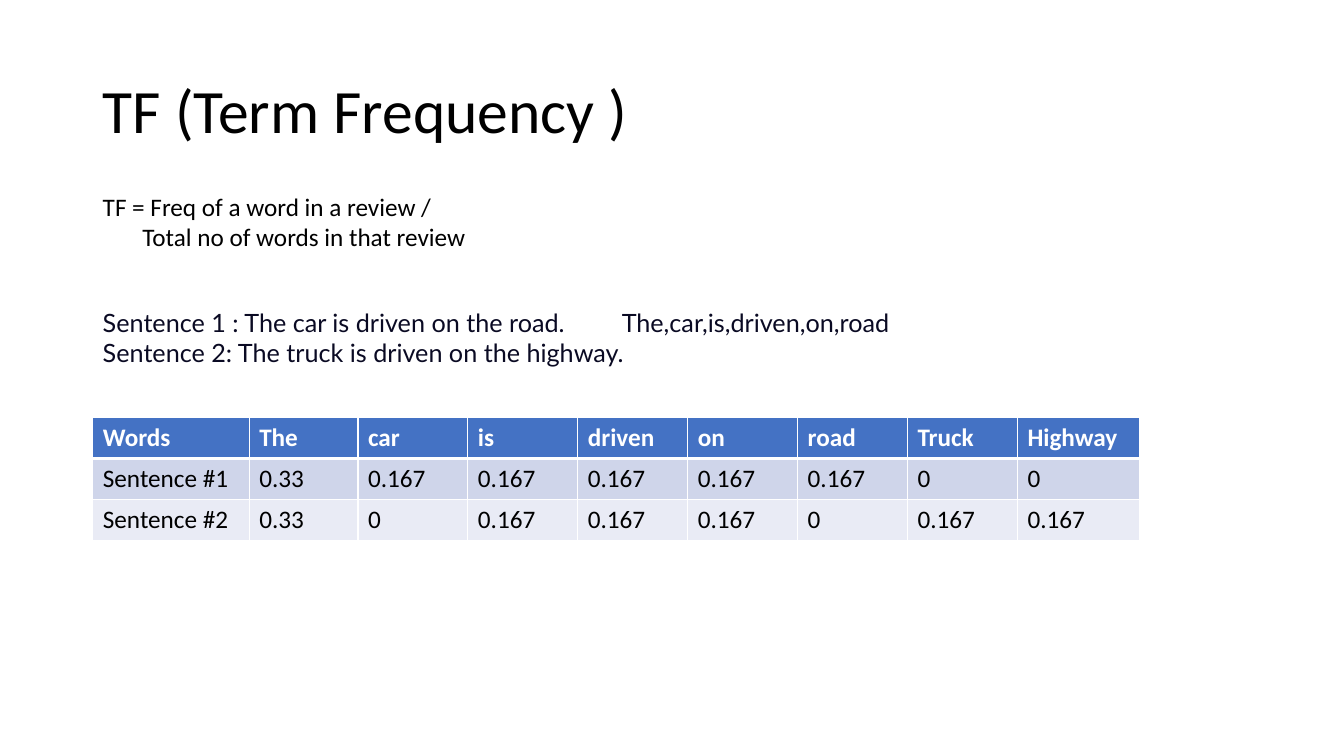
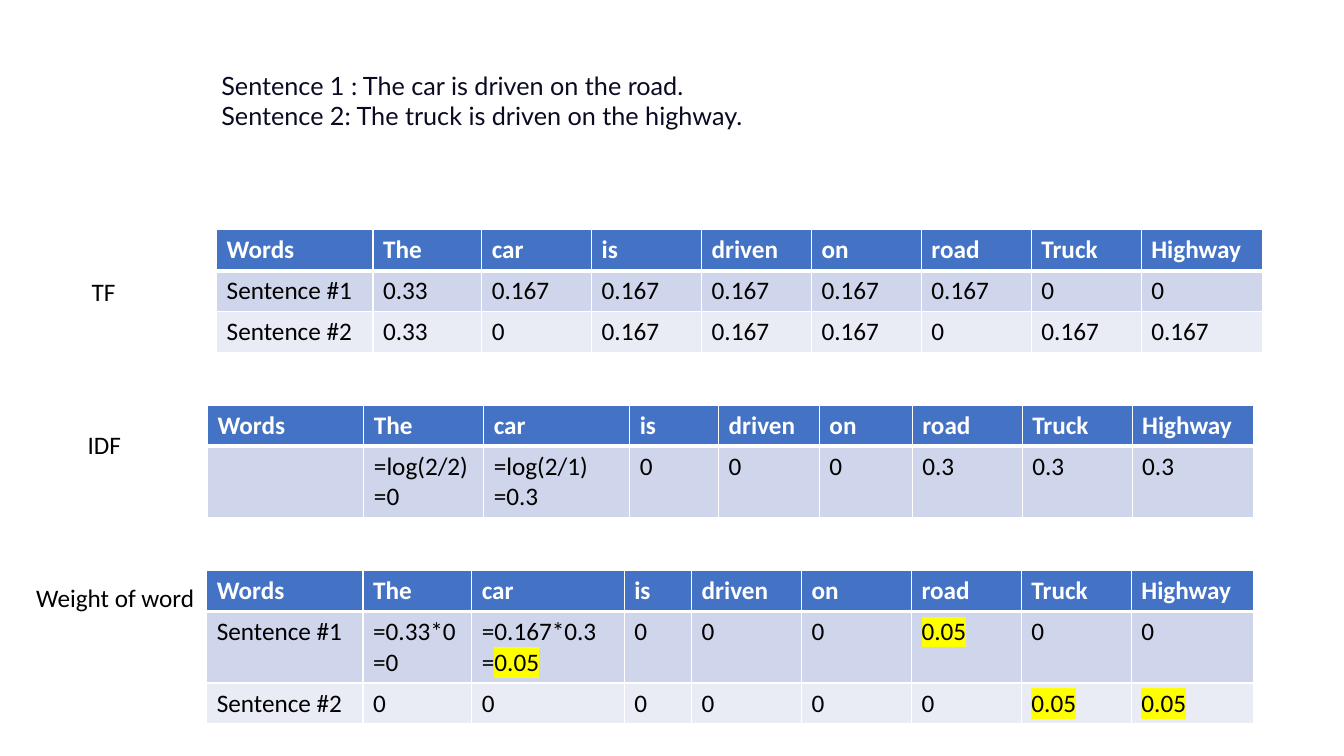
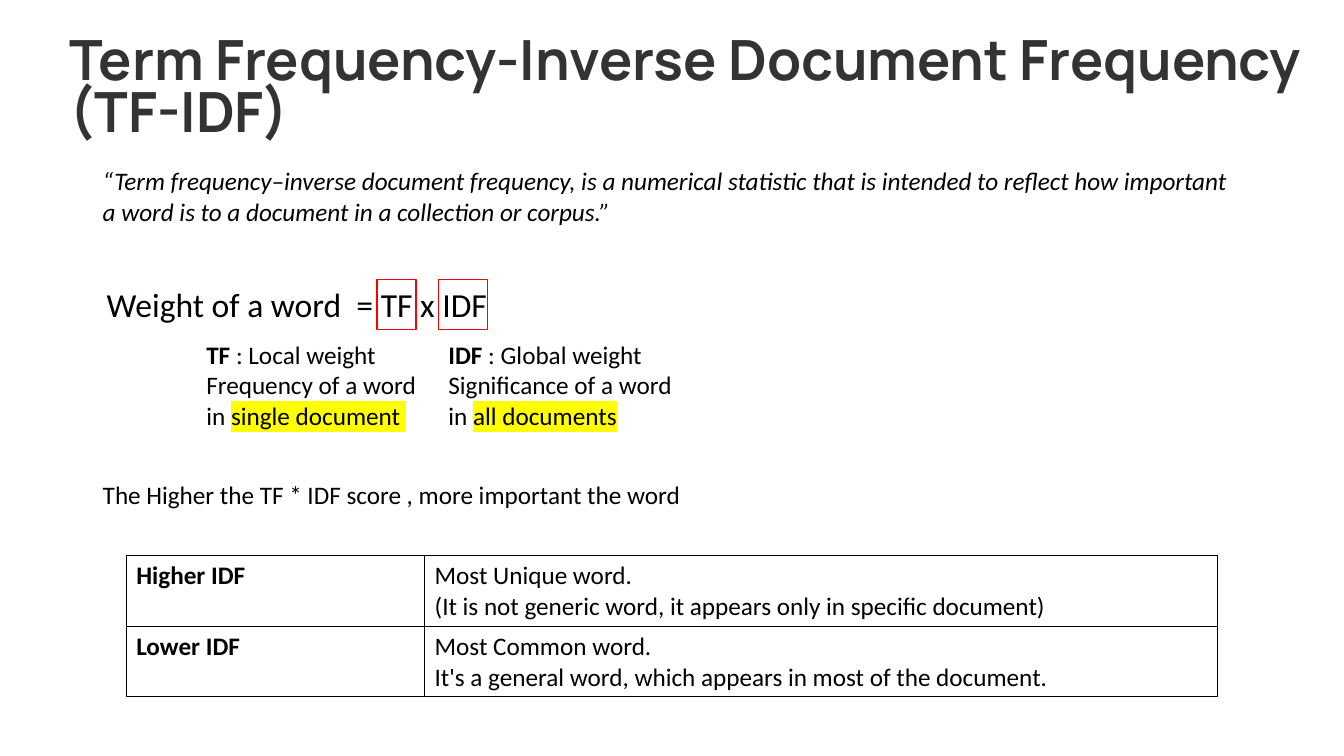
from lxml import etree
from pptx import Presentation
from pptx.dml.color import RGBColor
from pptx.enum import shapes, text
from pptx.oxml import ns
from pptx.util import Cm, Pt

COLORS = {
    "text": "000000", "navy": "0A0A23", "heading": "333333", "white": "FFFFFF",
    "header": "4472C4", "odd": "CFD5EA", "even": "E9EBF5",
    "mark": "FFFF00", "frame": "FF0000",
}
TITLE_ONLY, BLANK = 5, 6
LINE_H, TWO_LINES_H = 1.03, 1.8

# A text is a list of paragraphs; a paragraph is a string or a list of runs;
# a run is a string or (string, "bold" | "mark").
SENTENCES = ["Sentence 1 : The car is driven on the road.",
             "Sentence 2: The truck is driven on the highway."]
TOKENS = "The,car,is,driven,on,road"
WORDS = ["Words", "The", "car", "is", "driven", "on", "road", "Truck", "Highway"]
SCORE = [[("0.05", "mark")]]

TF_ROWS = [
    WORDS,
    ["Sentence #1", "0.33"] + ["0.167"] * 5 + ["0", "0"],
    ["Sentence #2", "0.33", "0"] + ["0.167"] * 3 + ["0", "0.167", "0.167"],
]
IDF_ROWS = [
    WORDS,
    ["", ["=log(2/2)", "=0"], ["=log(2/1)", "=0.3"]] + ["0"] * 3 + ["0.3"] * 3,
]
WEIGHT_ROWS = [
    WORDS,
    ["Sentence #1", ["=0.33*0", "=0"], ["=0.167*0.3", ["=", ("0.05", "mark")]],
     "0", "0", "0", SCORE, "0", "0"],
    ["Sentence #2"] + ["0"] * 6 + [SCORE, SCORE],
]
TF_COLS = [3.94, 2.74] + [2.77] * 6 + [3.07]
IDF_COLS = [3.94, 3.02, 3.68, 2.24, 2.54, 2.34, 2.77, 2.77, 3.07]
WEIGHT_COLS = [3.94, 2.74, 3.84, 1.7] + [2.77] * 4 + [3.07]

# label, label position, table position, column widths, rows
STEPS = [
    ("TF", (2.06, 6.83, 1.12), (5.46, 5.79), TF_COLS, TF_ROWS),
    ("IDF", (1.96, 10.69, 1.37), (5.23, 10.21), IDF_COLS, IDF_ROWS),
    ("Weight of word", (0.66, 14.55, 4.55), (5.21, 14.38), WEIGHT_COLS, WEIGHT_ROWS),
]

QUOTE = ("“Term frequency–inverse document frequency, is a numerical statistic that is "
         "intended to reflect how important a word is to a document in a collection or corpus.”")
# left, width, text
FACTORS = [
    (4.95, 6.17, [[("TF", "bold"), " : Local weight"],
                  ["Frequency of a word in ", ("single document ", "mark")]]),
    (11.05, 6.43, [[("IDF", "bold"), " : Global weight"],
                   ["Significance of a word in ", ("all documents", "mark")]]),
]
FRAMES = [(9.5, 0.99), (11.05, 1.24)]
IDF_MEANING = [
    [[[("Higher IDF", "bold")]],
     ["Most Unique word.", "(It is not generic word, it appears only in specific document)"]],
    [[[("Lower IDF", "bold")]],
     ["Most Common word.", "It's a general word, which appears in most of the document."]],
]


def rgb(name):
    return RGBColor.from_string(COLORS[name])


def add_xml(parent, tag, **attrs):
    return etree.SubElement(parent, ns.qn(tag), attrs)


def write(tf, paragraphs, size=18, color="text", font="Calibri", bold=None, italic=None):
    if isinstance(paragraphs, str):
        paragraphs = [paragraphs]
    for i, runs in enumerate(paragraphs):
        p = tf.add_paragraph() if i else tf.paragraphs[0]
        p.font.size, p.font.name = Pt(size), font
        p.font.bold, p.font.italic = bold, italic
        p.font.color.rgb = rgb(color)
        for run in [runs] if isinstance(runs, str) else runs:
            content, style = (run, None) if isinstance(run, str) else run
            r = p.add_run()
            r.text = content
            if style == "bold":
                r.font.bold = True
            elif style == "mark":
                mark = add_xml(r.font._element, "a:highlight")
                add_xml(mark, "a:srgbClr", val=COLORS["mark"])


def add_title(s, content, box, **style):
    title = s.shapes.title
    title.left, title.top, title.width, title.height = map(Cm, box)
    tf = title.text_frame
    tf.auto_size = text.MSO_AUTO_SIZE.NONE
    tf.vertical_anchor = text.MSO_ANCHOR.MIDDLE
    spacing = style.pop("spacing")
    write(tf, content, **style)
    p = tf.paragraphs[0]
    p.alignment = text.PP_ALIGN.LEFT
    p.line_spacing = spacing


def add_text(s, content, x, y, w, h=LINE_H, wrap=True, **style):
    tf = s.shapes.add_textbox(Cm(x), Cm(y), Cm(w), Cm(h)).text_frame
    tf.word_wrap = wrap
    write(tf, content, **style)
    return tf


def set_borders(cell, color, bottom=1):
    tc_pr = cell._tc.get_or_add_tcPr()
    for side, width in (("L", 1), ("R", 1), ("T", 1), ("B", bottom)):
        line = add_xml(tc_pr, f"a:ln{side}", w=str(Pt(width)))
        add_xml(add_xml(line, "a:solidFill"), "a:srgbClr", val=COLORS[color])


def add_grid(s, rows, x, y, cols, heights):
    """Add a table without banding and return it with its cells unstyled."""
    table = s.shapes.add_table(len(rows), len(cols), Cm(x), Cm(y),
                               Cm(sum(cols)), Cm(sum(heights))).table
    table.first_row = table.horz_banding = False
    for column, width in zip(table.columns, cols):
        column.width = Cm(width)
    for row, height in zip(table.rows, heights):
        row.height = Cm(height)
    return table


def add_word_table(s, rows, x, y, cols):
    heights = [TWO_LINES_H if any(len(c) > 1 for c in row if isinstance(c, list)) else LINE_H
               for row in rows]
    table = add_grid(s, rows, x, y, cols, heights)
    for i, row in enumerate(rows):
        header = i == 0
        for j, content in enumerate(row):
            cell = table.cell(i, j)
            set_borders(cell, "white", bottom=3 if header else 1)
            cell.fill.solid()
            cell.fill.fore_color.rgb = rgb("header" if header else "odd" if i % 2 else "even")
            write(cell.text_frame, content, bold=header, color="white" if header else "text")


def add_meaning_table(s, rows, x, y, cols):
    table = add_grid(s, rows, x, y, cols, [1.78] * len(rows))
    for i, row in enumerate(rows):
        for j, content in enumerate(row):
            cell = table.cell(i, j)
            set_borders(cell, "text")
            cell.fill.background()
            write(cell.text_frame, content)


def term_frequency_slide(prs):
    s = prs.slides.add_slide(prs.slide_layouts[TITLE_ONLY])
    add_title(s, "TF (Term Frequency )", (2.34, 1.02, 29.21, 3.68), size=44, spacing=0.9)
    tf = add_text(s, ["TF = Freq of a word in a review /", "Total no of words in that review"],
                  2.34, 4.7, 9.83, TWO_LINES_H)
    tf.paragraphs[1]._p.get_or_add_pPr().set("marL", str(Cm(1)))
    tf = add_text(s, [f"{SENTENCES[0]}\t{TOKENS}", SENTENCES[1]],
                  2.34, 7.62, 26.62, TWO_LINES_H, font="Lato", color="navy")
    tabs = etree.Element(ns.qn("a:tabLst"))
    add_xml(tabs, "a:tab", pos=str(Cm(13.08)), algn="l")
    tf.paragraphs[0]._p.get_or_add_pPr().insert(0, tabs)
    add_word_table(s, TF_ROWS, 2.34, 10.52, TF_COLS)


def weights_slide(prs):
    s = prs.slides.add_slide(prs.slide_layouts[BLANK])
    add_text(s, SENTENCES, 5.33, 1.65, 26.62, TWO_LINES_H, font="Lato", color="navy")
    for label, label_box, corner, cols, rows in STEPS:
        add_text(s, label, *label_box, wrap=False)
        add_word_table(s, rows, *corner, cols)


def tf_idf_slide(prs):
    s = prs.slides.add_slide(prs.slide_layouts[TITLE_ONLY])
    add_title(s, "Term Frequency-Inverse Document Frequency (TF-IDF)", (1.5, 0.46, 32.41, 3.68),
              size=39.6, font="Manrope", color="heading", bold=True, spacing=0.77)
    add_text(s, QUOTE, 2.34, 4.05, 29.21, TWO_LINES_H, italic=True)
    add_text(s, "Weight of a word  = TF x IDF", 2.44, 7.04, 10.19, 1.27, wrap=False, size=24)
    for x, w in FRAMES:
        frame = s.shapes.add_shape(shapes.MSO_SHAPE.RECTANGLE, Cm(x), Cm(7.04), Cm(w), Cm(1.27))
        frame.shadow.inherit = False
        frame.fill.background()
        frame.line.color.rgb = rgb("frame")
        frame.line.width = Pt(1)
    for x, w, content in FACTORS:
        add_text(s, content, x, 8.43, w, 2.57)
    add_text(s, "The Higher the TF * IDF score , more important the word",
             2.34, 11.96, 15.54, wrap=False)
    add_meaning_table(s, IDF_MEANING, 3.18, 14, [7.52, 19.99])


def main():
    prs = Presentation()
    prs.slide_width, prs.slide_height = Cm(33.87), Cm(19.05)
    for build in (term_frequency_slide, weights_slide, tf_idf_slide):
        build(prs)
    prs.save("out.pptx")


if __name__ == "__main__":
    main()
